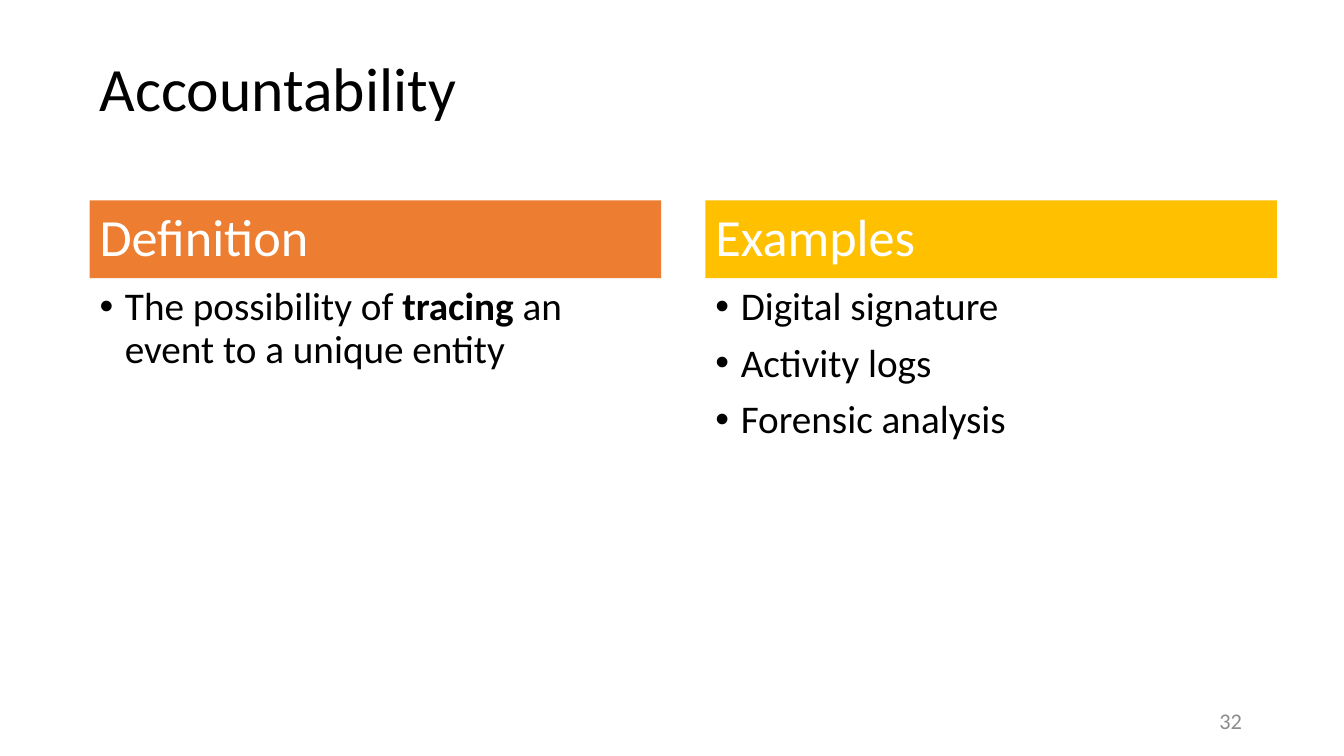
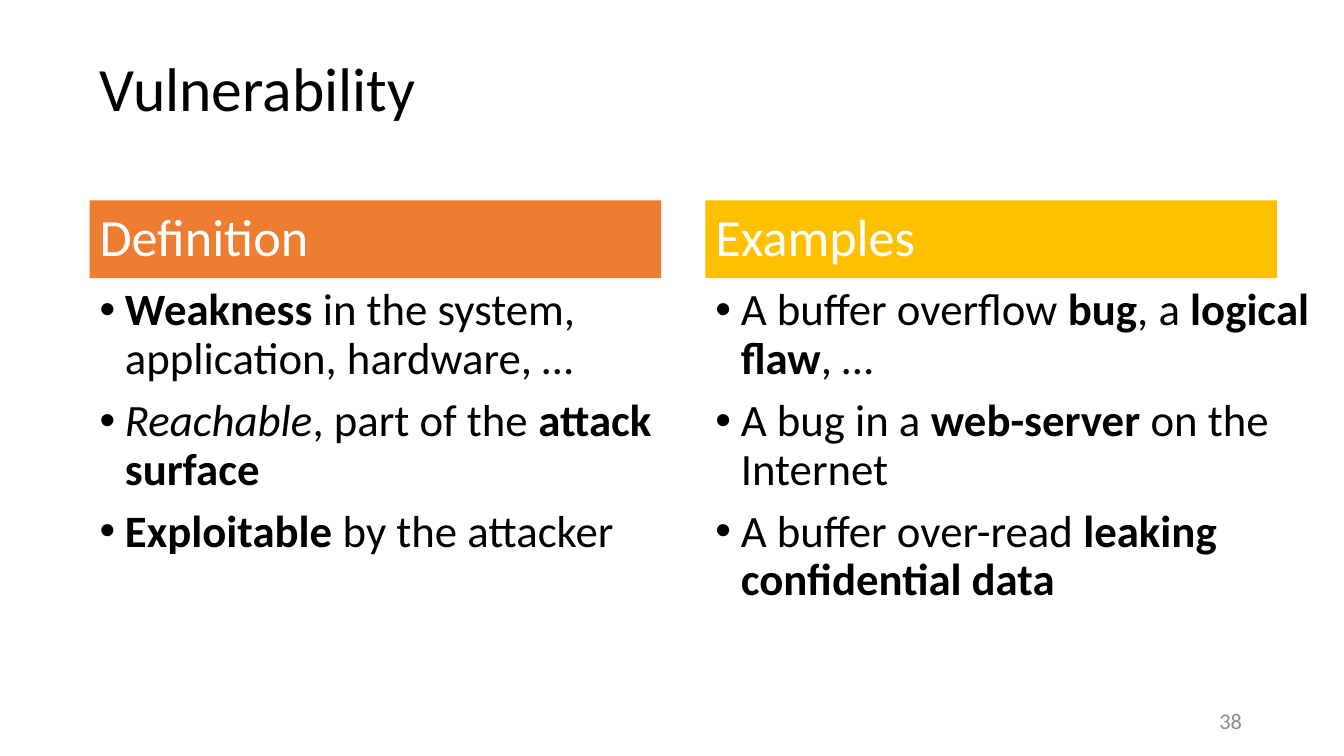
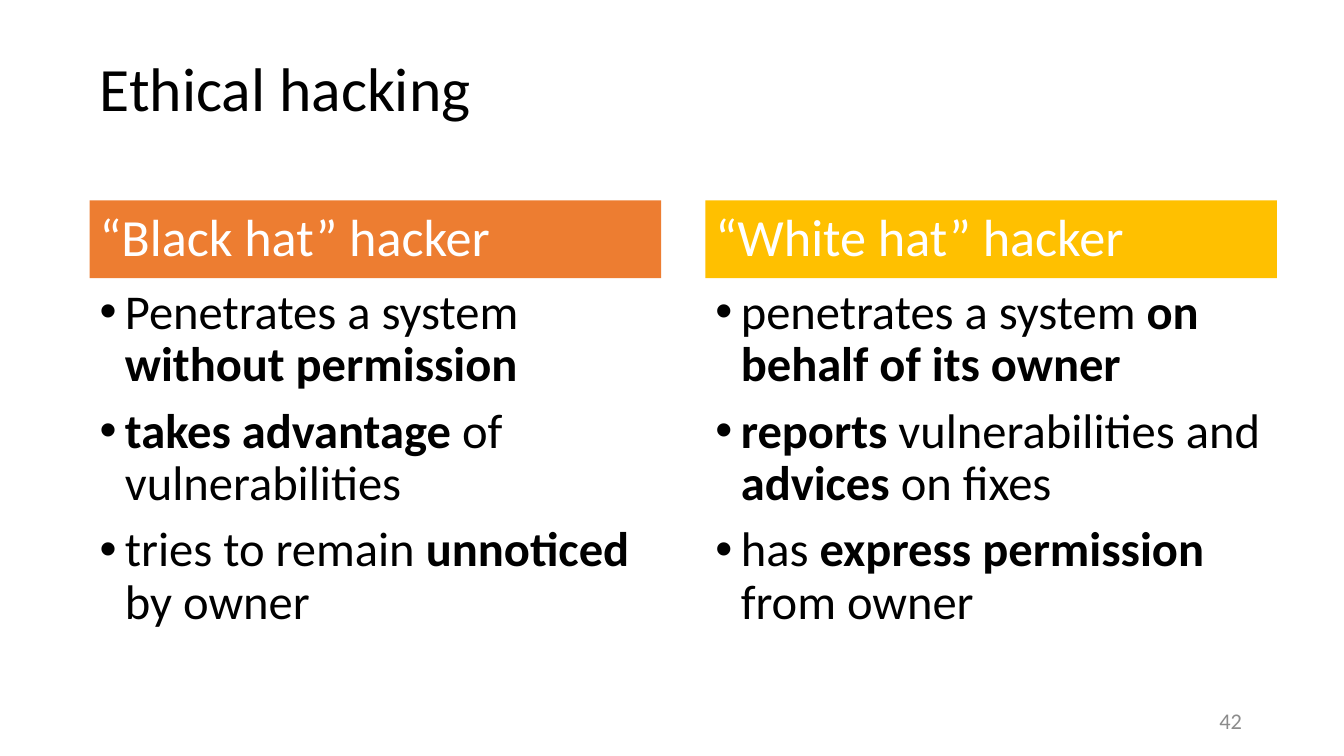
"""Build three two-column slides on security concepts."""
from dataclasses import dataclass

from lxml.etree import SubElement
from pptx import Presentation
from pptx.dml.color import RGBColor
from pptx.enum.shapes import MSO_SHAPE
from pptx.enum.text import MSO_ANCHOR, PP_ALIGN
from pptx.oxml.ns import qn
from pptx.presentation import Presentation as Deck
from pptx.slide import Slide
from pptx.text.text import TextFrame
from pptx.util import Cm, Pt

FONT = "Calibri"
BLACK = RGBColor(0x00, 0x00, 0x00)
WHITE = RGBColor(0xFF, 0xFF, 0xFF)
GRAY = RGBColor(0x8C, 0x8C, 0x8C)
ORANGE = RGBColor(0xED, 0x7D, 0x31)
AMBER = RGBColor(0xFF, 0xC0, 0x00)

LEFTS = (Cm(2.26), Cm(17.78))
FILLS = (ORANGE, AMBER)
BAND_TOP, BAND_W, BAND_H = Cm(5.05), Cm(14.4), Cm(1.96)
BODY_TOP, BODY_H = Cm(7.11), Cm(9.73)
INDENT = Cm(0.64)


@dataclass(frozen=True)
class Column:
    """A headed list; *stars* mark bold and _underscores_ mark italic."""
    heading: str
    bullets: tuple[str, ...]
    width: float = 14.4


@dataclass(frozen=True)
class Page:
    """The content of one slide."""
    title: str
    number: int
    size: float
    columns: tuple[Column, Column]


PAGES = (
    Page("Accountability", 32, 28, (
        Column("Definition", ("The possibility of *tracing* an event to a unique entity",)),
        Column("Examples", ("Digital signature", "Activity logs", "Forensic analysis")),
    )),
    Page("Vulnerability", 38, 32, (
        Column("Definition", (
            "*Weakness* in the system, application, hardware, …",
            "_Reachable_, part of the *attack surface*",
            "*Exploitable *by the attacker",
        ), 14.68),
        Column("Examples", (
            "A buffer overflow *bug*, a *logical flaw*, …",
            "A bug in a *web-server *on the Internet",
            "A buffer over-read *leaking confidential data*",
        ), 15.52),
    )),
    Page("Ethical hacking", 42, 34.7, (
        Column("“Black hat” hacker", (
            "Penetrates a system *without permission*",
            "*takes advantage *of vulnerabilities",
            "tries to remain *unnoticed* by owner",
        ), 14.68),
        Column("“White hat” hacker", (
            "penetrates a system *on behalf of its owner*",
            "*reports* vulnerabilities and *advices* on fixes",
            "has *express permission *from owner",
        ), 14.96),
    )),
)


def write(tf: TextFrame, *texts: str, size: float, color: RGBColor = BLACK,
          align: PP_ALIGN = PP_ALIGN.LEFT, anchor: MSO_ANCHOR = MSO_ANCHOR.MIDDLE,
          spacing: float = 0.9, bullet: bool = False) -> None:
    """Fill a text frame with one formatted paragraph per text."""
    tf.word_wrap = True
    tf.vertical_anchor = anchor
    for n, text in enumerate(texts):
        p = tf.add_paragraph() if n else tf.paragraphs[0]
        if bullet:
            pPr = p._p.get_or_add_pPr()
            pPr.set("marL", str(INDENT))
            pPr.set("indent", str(-INDENT))
            SubElement(pPr, qn("a:buFont"), typeface="Arial")
            SubElement(pPr, qn("a:buChar"), char="•")
        p.alignment = align
        p.line_spacing = spacing
        p.space_before = Pt(10 if n else 0)
        for i, part in enumerate(text.split("*")):
            for j, piece in enumerate(part.split("_")):
                if piece:
                    r = p.add_run()
                    r.text = piece
                    r.font.name, r.font.size = FONT, Pt(size)
                    r.font.bold, r.font.italic = i % 2 == 1, j % 2 == 1
                    r.font.color.rgb = color


def add_column(s: Slide, col: Column, left: Cm, fill: RGBColor, size: float) -> None:
    """Draw a coloured heading band and the list below it."""
    body = s.shapes.add_textbox(left, BODY_TOP, Cm(col.width), BODY_H)
    write(body.text_frame, *col.bullets, size=size, anchor=MSO_ANCHOR.TOP, bullet=True)
    band = s.shapes.add_shape(MSO_SHAPE.RECTANGLE, left, BAND_TOP, BAND_W, BAND_H)
    band.shadow.inherit = False
    band.fill.solid()
    band.fill.fore_color.rgb = fill
    band.line.fill.background()
    write(band.text_frame, col.heading, size=37.3, color=WHITE)


def add_page(prs: Deck, page: Page) -> None:
    """Add a slide with its title, columns and number."""
    s = prs.slides.add_slide(prs.slide_layouts[5])
    title = s.shapes.title
    title.left, title.top, title.width, title.height = LEFTS[0], Cm(0.43), Cm(30.2), Cm(3.73)
    write(title.text_frame, page.title, size=44)
    for col, left, fill in zip(page.columns, LEFTS, FILLS):
        add_column(s, col, left, fill, page.size)
    number = s.shapes.add_textbox(Cm(23.93), Cm(17.65), Cm(7.62), Cm(1.02))
    write(number.text_frame, str(page.number), size=16, color=GRAY,
          align=PP_ALIGN.RIGHT, spacing=1.0)


def main() -> None:
    """Build and save the deck."""
    prs = Presentation()
    prs.slide_width, prs.slide_height = Cm(33.87), Cm(19.05)
    for page in PAGES:
        add_page(prs, page)
    prs.save("out.pptx")


if __name__ == "__main__":
    main()
